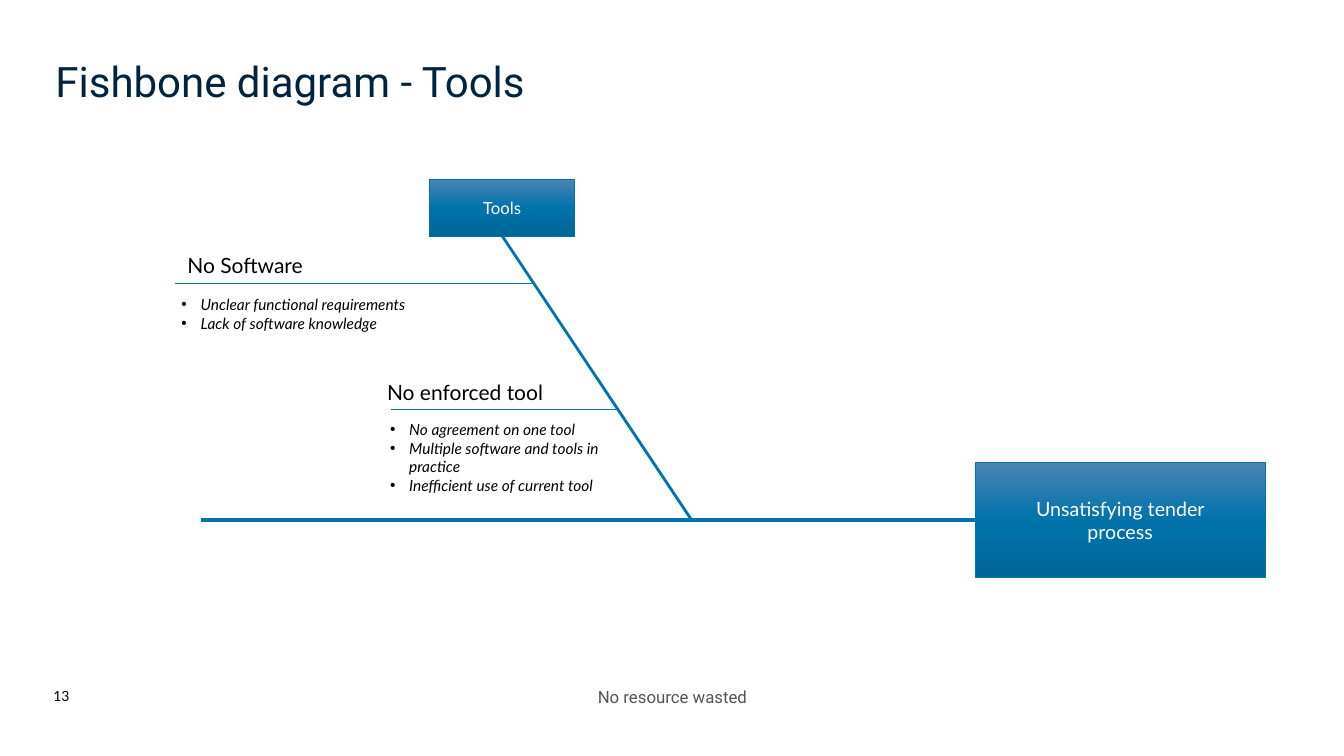
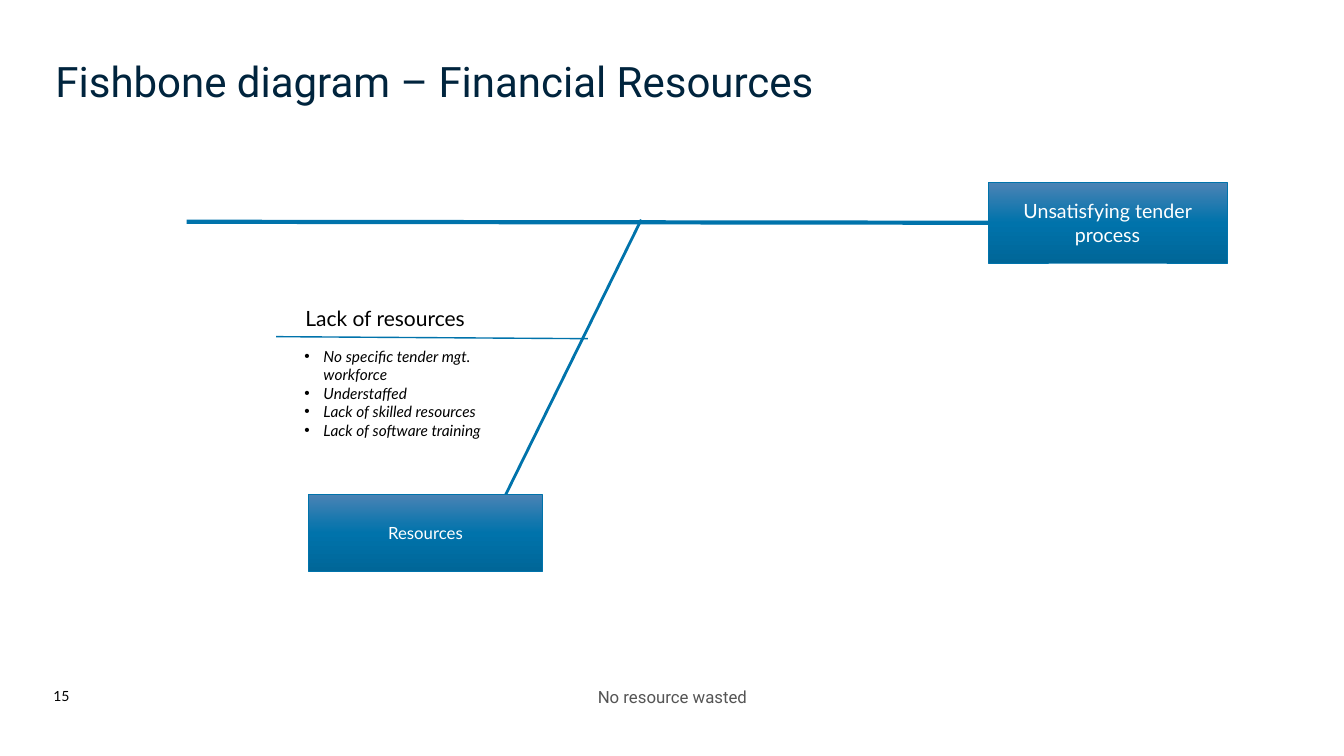
"""Builds two fishbone diagram slides: tools and financial resources."""
from copy import deepcopy

from pptx import Presentation
from pptx.dml.color import RGBColor
from pptx.enum import shapes, text
from pptx.oxml.ns import qn
from pptx.util import Inches, Pt

BLUE, NAVY, GREY, BLACK, WHITE = "0073AB", "00243D", "545454", "000000", "FFFFFF"
SHADES = [(0, "4B83B5"), (0.5, BLUE), (1, "006698")]
HEAD, BODY = "Roboto", "Lato"
LEFT, MID = text.PP_ALIGN.LEFT, text.PP_ALIGN.CENTER
FOOT = "No resource wasted"
EFFECT = "Unsatisfying tender process"

SLIDES = [
    {
        "title": "Fishbone diagram - Tools",
        "number": "13",
        "lines": [
            ((1.99, 5.16), (9.67, 5.16), 3),
            ((4.98, 2.34), (6.86, 5.16), 2),
            ((1.74, 2.81), (5.29, 2.81), 1),
            ((3.88, 4.06), (6.14, 4.06), 1),
        ],
        "boxes": [
            (EFFECT, (9.67, 4.59, 2.88, 1.14), 14),
            ("Tools", (4.26, 1.78, 1.44, 0.57), 12),
        ],
        "causes": [
            ("No Software", (1.76, 2.46, 4.18, 0.35), (1.7, 2.88, 2.55, 0.66),
             ["Unclear functional requirements", "Lack of software knowledge"]),
            ("No enforced tool", (3.74, 3.72, 2.05, 0.35), (3.77, 4.12, 2.55, 1.03),
             ["No agreement on one tool", "Multiple software and tools in practice",
              "Inefficient use of current tool"]),
        ],
    },
    {
        "title": "Fishbone diagram – Financial Resources",
        "number": "15",
        "lines": [
            ((1.85, 2.2), (9.8, 2.21), 3),
            ((4.97, 5), (6.36, 2.18), 2),
            ((2.74, 3.34), (5.83, 3.36), 1),
        ],
        "boxes": [
            (EFFECT, (9.8, 1.81, 2.37, 0.8), 14),
            ("Resources", (3.06, 4.9, 2.32, 0.77), 12),
        ],
        "causes": [
            ("Lack of resources", (2.93, 2.98, 1.92, 0.35), (2.92, 3.39, 2.33, 1.03),
             ["No specific tender mgt. workforce", "Understaffed",
              "Lack of skilled resources", "Lack of software training"]),
        ],
    },
]


def rgb(code):
    return RGBColor.from_string(code)


def inches(place):
    return [Inches(n) for n in place]


def write(frame, words, size, color, font=BODY, align=LEFT, pad=None, italic=False):
    frame.text = words
    frame.word_wrap = True
    frame.auto_size = text.MSO_AUTO_SIZE.NONE
    if pad is not None:
        frame.margin_left = frame.margin_right = Inches(pad)
        frame.margin_top = frame.margin_bottom = 0
    for para in frame.paragraphs:
        para.alignment = align
        for run in para.runs:
            run.font.size = Pt(size)
            run.font.name = font
            run.font.italic = italic
            run.font.color.rgb = rgb(color)


def add_text(slide, place, words, size, color, **style):
    frame = slide.shapes.add_textbox(*inches(place)).text_frame
    write(frame, words, size, color, **style)
    return frame


def add_line(slide, start, end, width):
    line = slide.shapes.add_connector(
        shapes.MSO_CONNECTOR.STRAIGHT, *inches(start + end))
    line.line.color.rgb = rgb(BLUE)
    line.line.width = Pt(width)
    props = line._element.spPr
    props.append(props.makeelement(qn("a:effectLst"), {}))


def shade(shape):
    fill = shape.fill
    fill.gradient()
    fill.gradient_angle = 270
    stops = shape._element.spPr.find(qn("a:gradFill")).find(qn("a:gsLst"))
    stops.append(deepcopy(stops[0]))
    for stop, (spot, color) in zip(fill.gradient_stops, SHADES):
        stop.position = spot
        stop.color.rgb = rgb(color)


def add_box(slide, words, place, size):
    box = slide.shapes.add_shape(shapes.MSO_SHAPE.RECTANGLE, *inches(place))
    box.shadow.inherit = False
    shade(box)
    box.line.color.rgb = rgb(BLUE)
    box.line.width = Pt(0.5)
    write(box.text_frame, words, size, WHITE, align=MID, pad=0.26)
    box.text_frame.vertical_anchor = text.MSO_ANCHOR.MIDDLE


def add_list(slide, place, items):
    frame = add_text(slide, place, "\n".join(items), 11, BLACK, italic=True)
    indent = Inches(0.19)
    for para in frame.paragraphs:
        props = para._p.get_or_add_pPr()
        props.set("marL", str(indent))
        props.set("indent", str(-indent))
        for tag, key, value in (("a:buFont", "typeface", "Arial"),
                                ("a:buChar", "char", "•")):
            props.append(props.makeelement(qn(tag), {key: value}))


def add_frame(slide, title, number):
    head = slide.shapes.title
    head.left, head.top, head.width, head.height = inches((0.55, 0.55, 12.26, 0.79))
    write(head.text_frame, title, 30, NAVY, font=HEAD, pad=0)
    head.text_frame.vertical_anchor = text.MSO_ANCHOR.TOP
    add_text(slide, (4.43, 6.81, 4.48, 0.2), FOOT, 12, GREY,
             font=HEAD, align=MID, pad=0)
    add_text(slide, (0.53, 6.82, 0.45, 0.2), number, 10, BLACK, pad=0)


def main():
    deck = Presentation()
    deck.slide_width, deck.slide_height = inches((13.33, 7.5))
    for data in SLIDES:
        slide = deck.slides.add_slide(deck.slide_layouts[5])
        add_frame(slide, data["title"], data["number"])
        for line in data["lines"]:
            add_line(slide, *line)
        for box in data["boxes"]:
            add_box(slide, *box)
        for name, spot, place, items in data["causes"]:
            add_text(slide, spot, name, 15, BLACK)
            add_list(slide, place, items)
    deck.save("out.pptx")


if __name__ == "__main__":
    main()
